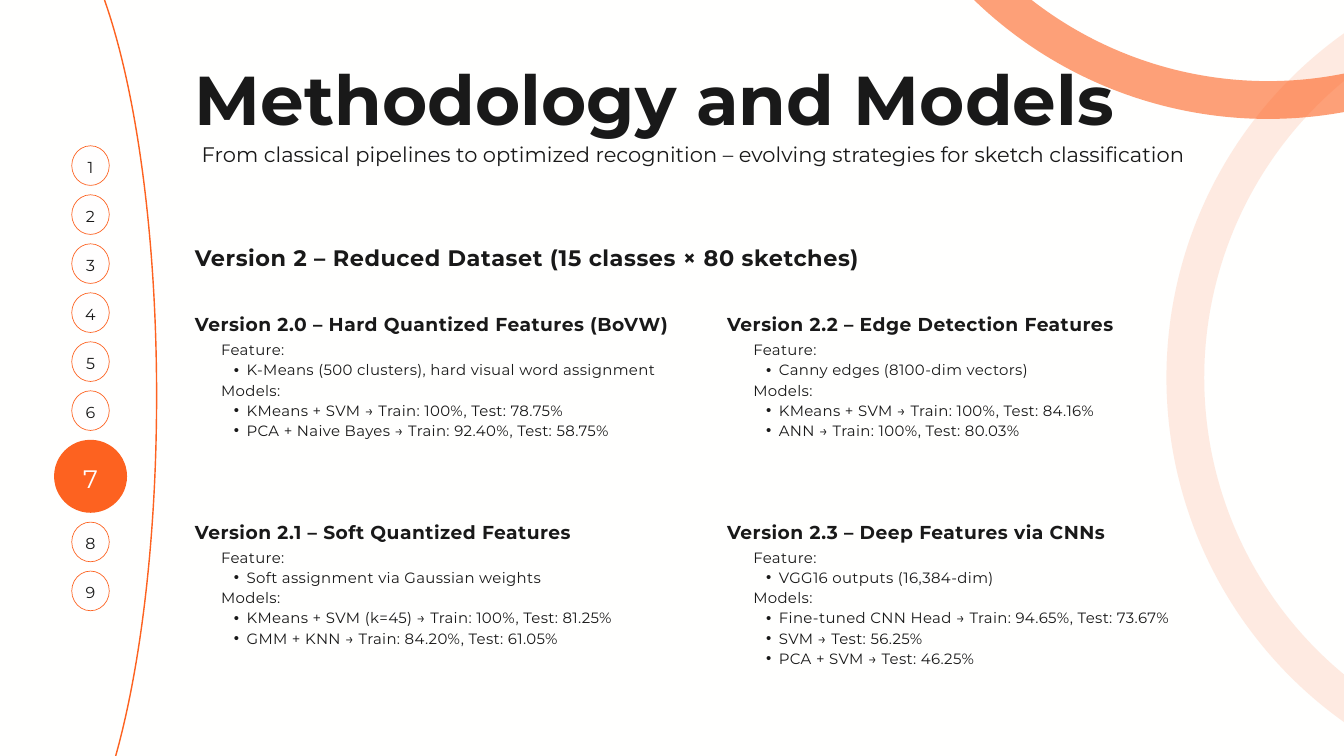
from lxml.etree import SubElement
from pptx import Presentation
from pptx.dml.color import RGBColor
from pptx.enum.shapes import MSO_SHAPE as Shape
from pptx.enum.text import MSO_ANCHOR as Anchor, MSO_AUTO_SIZE as AutoSize, PP_ALIGN as Align
from pptx.oxml.ns import qn
from pptx.util import Pt

ORANGE, INK, PAPER, WHITE = "FD6220", "191919", "FFFFFE", "FFFEFE"
FONT = "Montserrat"

TITLE = "Methodology and Models"
SUBTITLE = "From classical pipelines to optimized recognition – evolving strategies for sketch classification"
SECTION = "Version 2 – Reduced Dataset (15 classes × 80 sketches)"
VERSIONS = [
    ("Version 2.0 – Hard Quantized Features (BoVW)",
     "K-Means (500 clusters), hard visual word assignment",
     ["KMeans + SVM → Train: 100%, Test: 78.75%",
      "PCA + Naive Bayes → Train: 92.40%, Test: 58.75%"]),
    ("Version 2.1 – Soft Quantized Features",
     "Soft assignment via Gaussian weights",
     ["KMeans + SVM (k=45) → Train: 100%, Test: 81.25%",
      "GMM + KNN → Train: 84.20%, Test: 61.05%"]),
    ("Version 2.2 – Edge Detection Features",
     "Canny edges (8100-dim vectors)",
     ["KMeans + SVM → Train: 100%, Test: 84.16%",
      "ANN → Train: 100%, Test: 80.03%"]),
    ("Version 2.3 – Deep Features via CNNs",
     "VGG16 outputs (16,384-dim)",
     ["Fine-tuned CNN Head → Train: 94.65%, Test: 73.67%",
      "SVM → Test: 56.25%",
      "PCA + SVM → Test: 46.25%"]),
]
PAGE_COUNT, CURRENT_PAGE = 9, 7

STYLES = {
    "title": {"size": 74, "bold": True, "leading": 103.6},
    "subtitle": {"size": 22.5, "leading": 31.5},
    "section": {"size": 24, "bold": True, "leading": 32.4, "tracking": 0.6},
    "heading": {"size": 20, "bold": True, "leading": 27, "tracking": 0.5},
    "list": {"size": 16, "leading": 21.6, "tracking": 0.4},
    "page": {"size": 17, "leading": 23.8, "align": Align.CENTER},
    "current": {"size": 27, "leading": 37.8, "align": Align.CENTER, "color": WHITE},
}

LEFT, TOP, COLUMN_PITCH, ROW_PITCH = 208.8, 332.6, 570.2, 222.5
LIST_INDENT, LIST_DROP, COLUMN_WIDTH = 28.1, 30.2, 805
PAGE_CENTER, PAGE_TOP, PAGE_GAP = 97, 156.2, 10
PAGE_SIZE, CURRENT_SIZE = (40.2, 42.5), (78.2, 78.2)


def rgb(color):
    return RGBColor.from_string(color)


def place(shape, left, top, width, height):
    shape.left, shape.top, shape.width, shape.height = (Pt(value) for value in (left, top, width, height))


def set_bullet(paragraph, bulleted):
    properties = paragraph._p.get_or_add_pPr()
    properties.set("marL", str(Pt(27.4) if bulleted else 0))
    properties.set("indent", str(Pt(-13.7) if bulleted else 0))
    if bulleted:
        SubElement(properties, qn("a:buFont"), typeface="Arial")
        SubElement(properties, qn("a:buChar"), char="•")
    else:
        SubElement(properties, qn("a:buNone"))


def write(shape, lines, style_name, anchor=Anchor.TOP):
    style = STYLES[style_name]
    frame = shape.text_frame
    frame_format = {"word_wrap": True, "auto_size": AutoSize.NONE, "vertical_anchor": anchor,
                    "margin_left": 0, "margin_right": 0, "margin_top": 0, "margin_bottom": 0}
    for name, value in frame_format.items():
        setattr(frame, name, value)
    for index, (text, bulleted) in enumerate(lines):
        paragraph = frame.add_paragraph() if index else frame.paragraphs[0]
        paragraph_format = {"alignment": style.get("align", Align.LEFT), "level": int(bulleted),
                            "line_spacing": Pt(style["leading"]),
                            "space_before": Pt(0), "space_after": Pt(0)}
        for name, value in paragraph_format.items():
            setattr(paragraph, name, value)
        set_bullet(paragraph, bulleted)
        run = paragraph.add_run()
        run.text = text
        font_format = {"name": FONT, "size": Pt(style["size"]), "bold": style.get("bold", False)}
        for name, value in font_format.items():
            setattr(run.font, name, value)
        run.font.color.rgb = rgb(style.get("color", INK))
        if "tracking" in style:
            run._r.get_or_add_rPr().set("spc", str(round(style["tracking"] * 100)))


def add_text(slide, text, style_name, *box):
    textbox = slide.shapes.add_textbox(*(Pt(value) for value in box))
    write(textbox, [(text, False)], style_name)


def add_oval(slide, box, fill=None, line=None, width=0.75, opacity=100):
    oval = slide.shapes.add_shape(Shape.OVAL, *(Pt(value) for value in box))
    oval.shadow.inherit = False
    if fill:
        oval.fill.solid()
        oval.fill.fore_color.rgb = rgb(fill)
    else:
        oval.fill.background()
    if line:
        oval.line.color.rgb = rgb(line)
        oval.line.width = Pt(width)
    else:
        oval.line.fill.background()
    if opacity < 100:
        color = oval.line._ln.find(".//" + qn("a:srgbClr"))
        SubElement(color, qn("a:alpha"), val=str(opacity * 1000))
    return oval


def add_page_numbers(slide):
    top = PAGE_TOP
    for page in range(1, PAGE_COUNT + 1):
        current = page == CURRENT_PAGE
        width, height = CURRENT_SIZE if current else PAGE_SIZE
        box = (PAGE_CENTER - width / 2, top, width, height)
        oval = add_oval(slide, box, ORANGE) if current else add_oval(slide, box, WHITE, ORANGE)
        write(oval, [(str(page), False)], "current" if current else "page", Anchor.MIDDLE)
        top += height + PAGE_GAP


def add_versions(slide, bodies):
    for index, (body, (heading, feature, models)) in enumerate(zip(bodies, VERSIONS)):
        column, row = divmod(index, 2)
        left, top = LEFT + column * COLUMN_PITCH, TOP + row * ROW_PITCH
        add_text(slide, heading, "heading", left, top, COLUMN_WIDTH, 25.2)
        lines = [("Feature:", False), (feature, True), ("Models:", False)]
        lines += [(model, True) for model in models]
        place(body, left + LIST_INDENT, top + LIST_DROP, COLUMN_WIDTH, 41.76 * (len(lines) - 2))
        write(body, lines, "list")
        slide.shapes._spTree.append(body._element)


def main():
    presentation = Presentation()
    presentation.slide_width, presentation.slide_height = Pt(1440), Pt(810)
    slide = presentation.slides.add_slide(presentation.slide_layouts.get_by_name("Comparison"))
    slide.background.fill.solid()
    slide.background.fill.fore_color.rgb = rgb(PAPER)
    title, *bodies = [shape for shape in slide.placeholders if shape.placeholder_format.idx < 5]

    add_oval(slide, (-108, -103.7, 275.8, 1055.5), line=ORANGE, width=1.5)
    add_page_numbers(slide)
    for left, top, opacity in [(925.9, -758.2, 60), (1270, -28, 12)]:
        add_oval(slide, (left, top, 865.4, 865.4), line=ORANGE, width=40.5, opacity=opacity)

    add_versions(slide, bodies)
    place(title, LEFT, 46, 1061.3, 100)
    write(title, [(TITLE, False)], "title")
    slide.shapes._spTree.append(title._element)
    add_text(slide, SUBTITLE, "subtitle", 216, 146.9, 1224, 62)
    add_text(slide, SECTION, "section", LEFT, 257.8, 832.3, 31.7)
    presentation.save("out.pptx")


if __name__ == "__main__":
    main()
